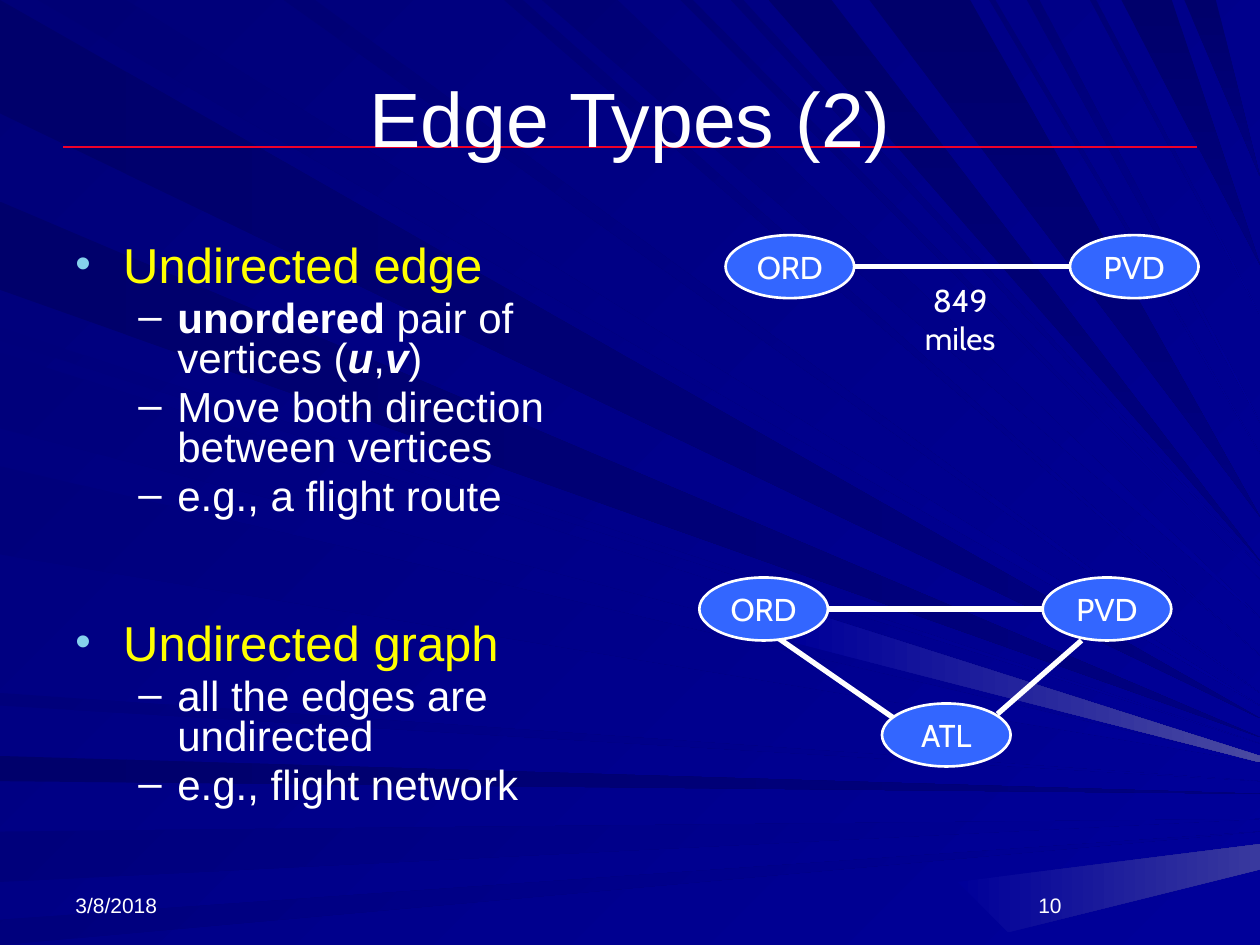
from lxml.etree import SubElement
from pptx import Presentation
from pptx.dml.color import RGBColor
from pptx.enum.shapes import MSO_CONNECTOR, MSO_SHAPE
from pptx.enum.text import MSO_ANCHOR, PP_ALIGN
from pptx.oxml.ns import qn
from pptx.util import Inches, Pt

WHITE, YELLOW, BLUE, RED, SKY = "FFFFFF", "FFFF00", "3366FF", "EF0129", "86D1EC"
NAVY, DEEP, BRIGHT, GLOW = "00006B", "000080", "000099", "4A4AA1"
color = RGBColor.from_string

presentation = Presentation()
presentation.slide_width, presentation.slide_height = Inches(10), Inches(7.5)
slide = presentation.slides.add_slide(presentation.slide_layouts[5])
shapes = slide.shapes

# The grid has 120 columns and 90 rows of equal square cells.
CELL = presentation.slide_width / 120


def cells(*counts):
    return [round(count * CELL) for count in counts]


def add_run(paragraph, text, size, font="Arial", fill=WHITE, style=""):
    """Append a run; style may hold b for bold and i for italic."""
    run = paragraph.add_run()
    run.text = text
    run.font.size, run.font.name = Pt(size), font
    run.font.color.rgb = color(fill)
    run.font.bold, run.font.italic = "b" in style, "i" in style


# Background rays, in hundredths of the slide's width: each starts as an
# interval on the left or top edge and narrows to a height on the right edge.
ray_groups = [
    ("left", NAVY, DEEP, 0, [(0, 9, 57), (16, 23, 58.5), (60, 62, 63)]),
    ("left", "00007B", BRIGHT, 45, [
        (26, 27, 59), (28, 34, 60), (37, 44, 60.5), (55, 56, 62), (66, 70, 65), (73, 75, 66)]),
    ("top", "000075", BRIGHT, 45, [
        (3, 10, 56), (22.5, 25, 55), (40, 41.5, 52), (43, 49, 49), (54, 55, 46),
        (58, 59, 45), (78.5, 79, 36), (81.5, 82.5, 33.5), (86.5, 87, 25)]),
    ("top", NAVY, DEEP, 90, [
        (61, 66, 44.5), (69, 77, 41), (89, 93, 21), (94, 96.5, 14)]),
]
polygons = []
for side, start, end, angle, rays in ray_groups:
    for near, far, tip in rays:
        base = [(0, near), (0, far)] if side == "left" else [(near, 0), (far, 0)]
        polygons.append((start, end, angle, [*base, (100, tip)]))
# Lighter patches at the right
polygons.append((BRIGHT, GLOW, 0, [(63, 51), (64, 48.5), (100, 60), (100, 60.5)]))
polygons.append((BRIGHT, "39399E", 0, [(76, 70), (80, 74), (100, 69), (100, 67)]))

gradients = [(slide.background.fill, "000078", BRIGHT, 45)]
for start, end, angle, corners in polygons:
    points = [cells(x * 1.2, y * 1.2) for x, y in corners]
    builder = shapes.build_freeform(*points[0])
    builder.add_line_segments(points[1:], close=True)
    ray = builder.convert_to_shape()
    ray.shadow.inherit = False
    ray.line.fill.background()
    gradients.append((ray.fill, start, end, angle))

for fill, start, end, angle in gradients:
    fill.gradient()
    fill.gradient_angle = -angle % 360
    for stop, shade in zip(fill.gradient_stops, (start, end)):
        stop.color.rgb = color(shade)

# Vertices: name, column and row
VERTEX_WIDTH, VERTEX_HEIGHT = 12.25, 6
pair = [("ORD", 69.1, 22.4), ("PVD", 101.9, 22.4)]
network = [("ORD", 66.6, 55), ("PVD", 99.3, 55), ("ATL", 84, 67)]

# Title rule and graph edges: column and row of both ends, colour, width
edges = [(6, 14, 114, 14, RED, 0.75)]
for (_, first, row), (_, second, _) in (pair, network[:2]):
    middle = row + VERTEX_HEIGHT / 2
    edges.append((first + VERTEX_WIDTH, middle, second, middle, WHITE, 3))
edges += [(73, 60, 86, 69, WHITE, 3), (95, 68, 103, 61, WHITE, 3)]
for *ends, shade, width in edges:
    edge = shapes.add_connector(MSO_CONNECTOR.STRAIGHT, *cells(*ends))
    edge.line.color.rgb = color(shade)
    edge.line.width = Pt(width)
    SubElement(edge._element.spPr, qn("a:effectLst"))

for name, column, row in pair + network:
    vertex = shapes.add_shape(MSO_SHAPE.OVAL, *cells(column, row, VERTEX_WIDTH, VERTEX_HEIGHT))
    vertex.shadow.inherit = False
    vertex.fill.solid()
    vertex.fill.fore_color.rgb = color(BLUE)
    vertex.line.color.rgb = color(WHITE)
    vertex.line.width = Pt(1.5)
    frame = vertex.text_frame
    frame.word_wrap = False
    frame.vertical_anchor = MSO_ANCHOR.MIDDLE
    frame.paragraphs[0].alignment = PP_ALIGN.CENTER
    add_run(frame.paragraphs[0], name, 18, "Cabin")

distance = shapes.add_textbox(*cells(85.7, 26.2, 11.5, 10.8)).text_frame
distance.word_wrap = False
for index, text in enumerate(("849", "miles")):
    paragraph = distance.add_paragraph() if index else distance.paragraphs[0]
    paragraph.alignment = PP_ALIGN.CENTER
    add_run(paragraph, text, 18, "Cabin")

title = shapes.title
title.left, title.top, title.width, title.height = cells(6, 3.6, 108, 15)
title.text_frame.vertical_anchor = MSO_ANCHOR.MIDDLE
title.text_frame.paragraphs[0].alignment = PP_ALIGN.CENTER
add_run(title.text_frame.paragraphs[0], "Edge Types (2)", 44)
title.element.getparent().append(title.element)  # in front of the rays

# Body: level and runs of text and style
body_text = [
    (0, [("Undirected edge", "")]),
    (1, [("unordered", "b"), (" pair of vertices (", ""), ("u", "bi"),
         (",", ""), ("v", "bi"), (")", "")]),
    (1, [("Move both direction between vertices", "")]),
    (1, [("e.g., a flight route", "")]),
    (0, [("Undirected graph", "")]),
    (1, [("all the edges are undirected", "")]),
    (1, [("e.g., flight network", "")]),
]
# Per level: left margin, hanging indent, bullet, its colour and size,
# text size and colour, space before
levels = [
    (0.38, 0.38, "•", SKY, 90, 28, YELLOW, 59.4),
    (0.81, 0.31, "–", WHITE, 100, 24, WHITE, 4.8),
]
body = shapes.add_textbox(*cells(6, 22.8, 53, 58.2)).text_frame
body.word_wrap = True
for index, (level, runs) in enumerate(body_text):
    margin, hanging, bullet, bullet_color, percent, size, shade, space = levels[level]
    paragraph = body.add_paragraph() if index else body.paragraphs[0]
    properties = paragraph._p.get_or_add_pPr()
    properties.set("marL", str(Inches(margin)))
    properties.set("indent", str(-Inches(hanging)))
    SubElement(SubElement(properties, qn("a:buClr")), qn("a:srgbClr"), val=bullet_color)
    SubElement(properties, qn("a:buSzPct"), val=str(percent * 1000))
    SubElement(properties, qn("a:buFont"), typeface="Arial")
    SubElement(properties, qn("a:buChar"), char=bullet)
    paragraph.level = level
    paragraph.line_spacing = 0.8
    paragraph.space_before = Pt(space if index else 0)
    for text, style in runs:
        add_run(paragraph, text, size, fill=shade, style=style)

for text, column, alignment in (("3/8/2018", 6, PP_ALIGN.LEFT), ("10", 86, PP_ALIGN.CENTER)):
    footer = shapes.add_textbox(*cells(column, 82, 28, 6)).text_frame
    footer.word_wrap = True
    footer.vertical_anchor = MSO_ANCHOR.BOTTOM
    footer.paragraphs[0].alignment = alignment
    add_run(footer.paragraphs[0], text, 12)

presentation.save("out.pptx")
